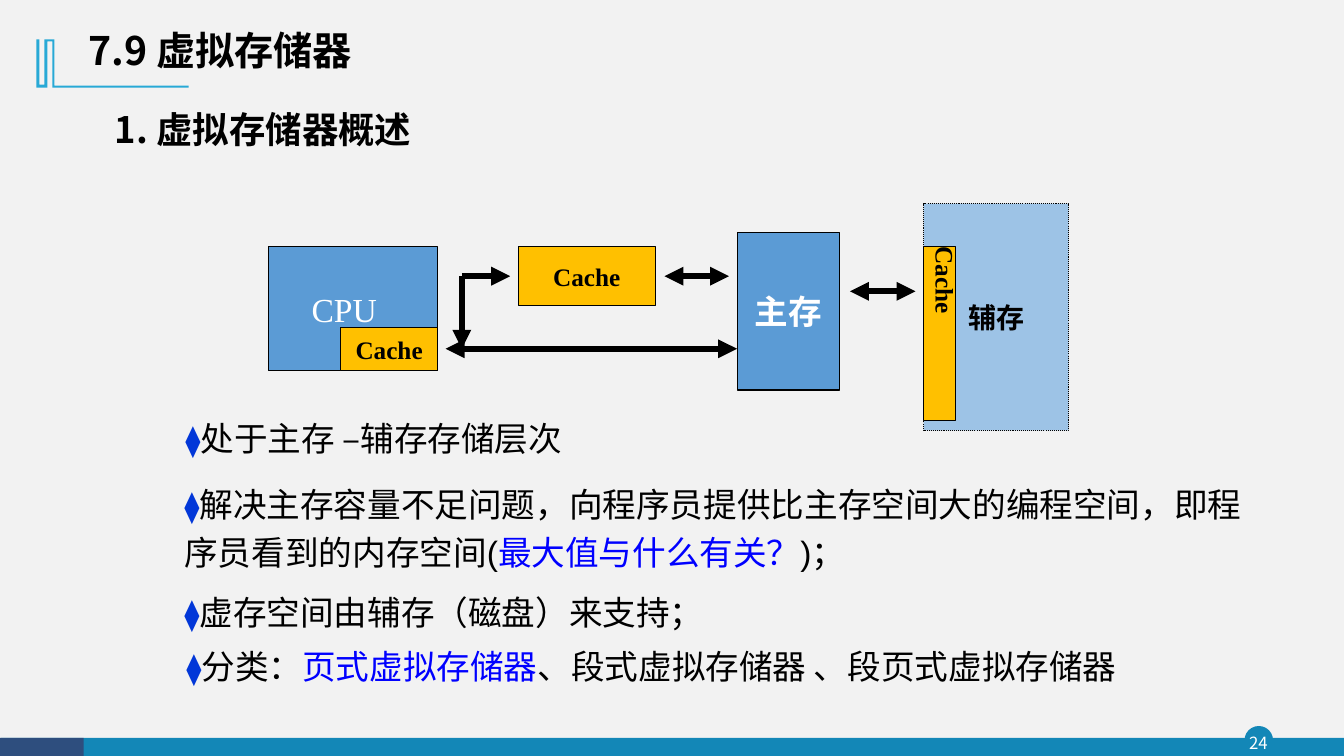
"""Build the slide on virtual memory and its place in the storage hierarchy."""
from dataclasses import dataclass

from lxml.etree import SubElement as Sub
from pptx import Presentation
from pptx.dml.color import RGBColor as Rgb
from pptx.enum.dml import MSO_LINE as Dash
from pptx.enum.shapes import MSO_CONNECTOR as Link, MSO_SHAPE as Kind
from pptx.enum.text import MSO_ANCHOR as Anchor, PP_ALIGN as Align
from pptx.oxml.ns import qn
from pptx.util import Inches, Pt


@dataclass(frozen=True)
class Theme:
    """Colours, fonts and type sizes."""
    back: str = "F2F2F2"
    teal: str = "1387B7"
    navy: str = "2E4E7E"
    sky: str = "28A9D6"
    blue: str = "5B9BD5"
    pale: str = "9DC3E6"
    gold: str = "FFC000"
    black: str = "000000"
    white: str = "FFFFFF"
    mark: str = "0237D8"
    key: str = "0000FF"
    sans: str = "Noto Sans CJK SC"
    head: str = "Noto Sans CJK JP"
    serif: str = "Times New Roman"
    plain: str = "Arial"
    title: int = 28
    sub: int = 26
    body: int = 24
    disk: int = 20
    dot: int = 22
    cache: int = 18
    page: int = 12


T = Theme()
BARS = [
    (Kind.OVAL, (12.35, 7.21, 0.27, 0.27), T.teal),
    (Kind.RECTANGLE, (0.01, 7.32, 13.32, 0.19), T.teal),
    (Kind.RECTANGLE, (0, 7.32, 0.83, 0.19), T.navy),
]
FRAME = [
    (0.54, 0.39), (0.54, 0.85), (1.87, 0.85), (1.87, 0.87), (0.52, 0.87),
    (0.52, 0.41), (0.47, 0.41), (0.47, 0.87), (0.36, 0.87), (0.36, 0.39),
    (0.39, 0.39), (0.39, 0.84), (0.44, 0.84), (0.44, 0.39),
]
HEADS = [
    ("7.9 虚拟存储器", (0.78, 0.18, 5.56, 0.68), T.title, Anchor.MIDDLE, 0.9),
    ("1. 虚拟存储器概述", (1.04, 1.01, 3.5, 0.54), T.sub, Anchor.TOP, 1),
]
BLOCKS = [
    ("CPU", (2.66, 2.45, 1.68, 1.23), T.blue, T.white, T.body, False),
    ("Cache", (3.38, 3.25, 0.96, 0.43), T.gold, T.black, T.cache, True),
    ("Cache", (5.14, 2.45, 1.36, 0.58), T.gold, T.black, T.cache, True),
    ("主存", (7.31, 2.31, 1.02, 1.56), T.blue, T.white, T.body, True),
    ("辅存", (9.16, 2.02, 1.44, 2.25), T.pale, T.black, T.disk, True),
    ("", (9.16, 2.45, 0.32, 1.72), T.gold, T.black, T.cache, True),
]
BOTH, END = ("headEnd", "tailEnd"), ("tailEnd",)
ARROWS = [
    ((6.59, 2.74), (7.23, 2.74), BOTH),
    ((4.58, 2.74), (5.06, 2.74), END),
    ((4.42, 3.46), (7.31, 3.46), BOTH),
    ((4.58, 2.74), (4.58, 3.46), END),
    ((8.43, 2.89), (9.08, 2.89), BOTH),
]
POINTS = [
    ((1.74, 4.1, 6.13, 0.5), 1, [("处于主存 –辅存存储层次", T.black)]),
    ((1.73, 4.67, 10.68, 1.07), 1.2, [
        ("解决主存容量不足问题，向程序员提供比主存空间大的编程空间，"
         "即程序员看到的内存空间(", T.black),
        ("最大值与什么有关？", T.key),
        (")；", T.black)]),
    ((1.73, 5.82, 6.65, 0.5), 1, [("虚存空间由辅存（磁盘）来支持；", T.black)]),
    ((1.75, 6.36, 9.78, 0.5), 1, [
        ("分类：", T.black),
        ("页式虚拟存储器", T.key),
        ("、段式虚拟存储器 、段页式虚拟存储器", T.black)]),
]


def place(box):
    return [Inches(n) for n in box]


def paint(fill, tone):
    fill.solid()
    fill.fore_color.rgb = Rgb.from_string(tone)


def add_run(para, text, size, tone, face, bold=False, east=T.sans):
    run = para.add_run()
    run.text = text
    font = run.font
    font.size, font.bold, font.name = Pt(size), bold, face
    font.color.rgb = Rgb.from_string(tone)
    Sub(run._r.get_or_add_rPr(), qn("a:ea")).set("typeface", east)


def add_form(shapes, kind, box, tone, edge=None, width=0.75):
    form = shapes.add_shape(kind, *place(box))
    form.shadow.inherit = False
    paint(form.fill, tone)
    if edge:
        paint(form.line.fill, edge)
        form.line.width = Pt(width)
    else:
        form.line.fill.background()
    return form


def add_text(shapes, box, anchor=Anchor.TOP):
    frame = shapes.add_textbox(*place(box)).text_frame
    frame.word_wrap = True
    frame.vertical_anchor = anchor
    return frame


def add_arrow(shapes, start, stop, ends):
    arrow = shapes.add_connector(Link.STRAIGHT, *place(start + stop))
    paint(arrow.line.fill, T.black)
    arrow.line.width = Pt(4.5)
    props = arrow._element.spPr
    for end in ends:
        Sub(props.find(qn("a:ln")), qn("a:" + end)).set("type", "triangle")
    Sub(props, qn("a:effectLst"))


def add_decor(shapes):
    for kind, box, tone in BARS:
        add_form(shapes, kind, box, tone, tone if kind == Kind.OVAL else None, 1)
    frame = add_text(shapes, (12.32, 7.21, 0.32, 0.31), Anchor.MIDDLE)
    frame.margin_left = frame.margin_right = 0
    frame.margin_top = frame.margin_bottom = 0
    para = frame.paragraphs[0]
    para.alignment = Align.CENTER
    add_run(para, "24", T.page, T.white, T.sans)
    first, *rest = [place(spot) for spot in FRAME]
    path = shapes.build_freeform(*first)
    path.add_line_segments(rest, close=True)
    form = path.convert_to_shape()
    form.shadow.inherit = False
    paint(form.fill, T.sky)
    form.line.fill.background()


def add_scheme(shapes):
    for text, box, tone, ink, size, bold in BLOCKS:
        form = add_form(shapes, Kind.RECTANGLE, box, tone, T.black)
        if tone == T.pale:
            form.line.dash_style = Dash.ROUND_DOT
        if text:
            frame = form.text_frame
            frame.vertical_anchor = Anchor.MIDDLE
            if text == "CPU":
                frame.margin_right = Inches(0.27)
            para = frame.paragraphs[0]
            para.alignment = Align.CENTER
            add_run(para, text, size, ink, T.serif, bold)
    for start, stop, ends in ARROWS:
        add_arrow(shapes, start, stop, ends)
    frame = add_text(shapes, (8.91, 2.35, 0.67, 2.01))
    frame._txBody.bodyPr.set("vert", "eaVert")
    add_run(frame.paragraphs[0], "Cache", T.cache, T.black, T.serif, True)


def main():
    deck = Presentation()
    deck.slide_width, deck.slide_height = Inches(13.33), Inches(7.5)
    slide = deck.slides.add_slide(deck.slide_layouts[6])
    paint(slide.background.fill, T.back)
    shapes = slide.shapes
    add_decor(shapes)
    for text, box, size, anchor, space in HEADS:
        para = add_text(shapes, box, anchor).paragraphs[0]
        para.line_spacing = space
        add_run(para, text, size, T.black, T.head, True, T.head)
    add_scheme(shapes)
    for box, space, parts in POINTS:
        para = add_text(shapes, box).paragraphs[0]
        para.line_spacing = space
        add_run(para, "⧫", T.dot, T.mark, T.plain)
        for text, tone in parts:
            add_run(para, text, T.body, tone, T.plain)
    deck.save("out.pptx")


if __name__ == "__main__":
    main()
